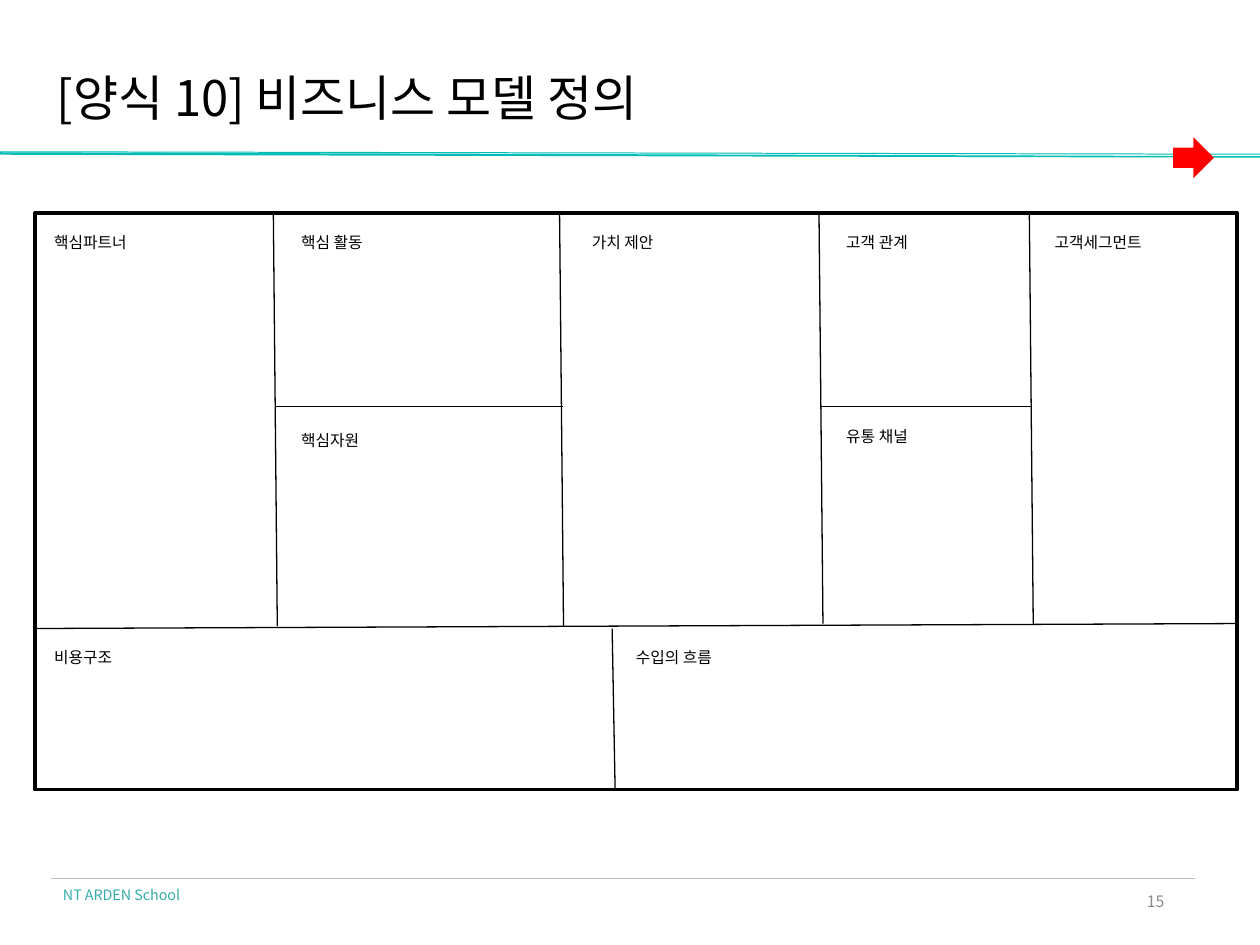
from dataclasses import dataclass

from lxml import etree
from pptx import Presentation
from pptx import util as u
from pptx.dml.color import RGBColor
from pptx.enum import shapes, text
from pptx.oxml.ns import qn


@dataclass(frozen=True)
class Theme:
    font: str = "Noto Sans CJK KR"
    black: str = "000000"
    teal: str = "01BCB6"
    footer: str = "34AEAA"
    number: str = "8C8C8C"
    rule: str = "BEBEBE"
    red: str = "FF0000"
    title_size: float = 28
    label_size: float = 9
    footer_size: float = 8.2


@dataclass(frozen=True)
class Box:
    left: float
    top: float
    width: float
    height: float

    def lengths(self) -> list:
        return [u.Cm(v) for v in (self.left, self.top, self.width, self.height)]


@dataclass(frozen=True)
class Line:
    x1: float
    y1: float
    x2: float
    y2: float
    color: str = Theme.black
    weight: float = 0.75


@dataclass(frozen=True)
class Label:
    words: str
    box: Box
    size: float = Theme.label_size
    color: str = Theme.black
    align: text.PP_ALIGN = text.PP_ALIGN.LEFT
    anchor: text.MSO_ANCHOR = text.MSO_ANCHOR.TOP
    inset: tuple = (0.25, 0.13)
    wrap: bool = True


def draw_line(slide, line: Line) -> None:
    ends = [u.Cm(v) for v in (line.x1, line.y1, line.x2, line.y2)]
    connector = slide.shapes.add_connector(shapes.MSO_CONNECTOR.STRAIGHT, *ends)
    connector.line.color.rgb = RGBColor.from_string(line.color)
    connector.line.width = u.Pt(line.weight)
    etree.SubElement(connector._element.spPr, qn("a:effectLst"))


def draw_label(slide, label: Label) -> None:
    frame = slide.shapes.add_textbox(*label.box.lengths()).text_frame
    across, down = (u.Cm(v) for v in label.inset)
    frame_format = {
        "word_wrap": label.wrap, "vertical_anchor": label.anchor,
        "margin_left": across, "margin_right": across,
        "margin_top": down, "margin_bottom": down,
    }
    for name, value in frame_format.items():
        setattr(frame, name, value)
    paragraph = frame.paragraphs[0]
    paragraph.alignment = label.align
    run = paragraph.add_run()
    run.text = label.words
    for name, value in {"name": Theme.font, "size": u.Pt(label.size)}.items():
        setattr(run.font, name, value)
    run.font.color.rgb = RGBColor.from_string(label.color)
    # Korean glyphs take the East Asian typeface
    etree.SubElement(run._r.get_or_add_rPr(), qn("a:ea"), typeface=Theme.font)


def fill_solid(shape, color: str) -> None:
    shape.shadow.inherit = False
    shape.fill.solid()
    shape.fill.fore_color.rgb = RGBColor.from_string(color)
    shape.line.fill.background()


def draw_band(slide, points: list) -> None:
    start, *rest = [(u.Cm(x), u.Cm(y)) for x, y in points]
    builder = slide.shapes.build_freeform(*start)
    builder.add_line_segments(rest, close=True)
    fill_solid(builder.convert_to_shape(), Theme.teal)


# Canvas grid, in centimetres
FRAME = Box(0.71, 4.29, 24.23, 11.63)
RIGHT, BOTTOM = FRAME.left + FRAME.width, FRAME.top + FRAME.height
MIDDLE, SLANT = 8.2, 0.08
COLUMNS = [(5.51, 12.62), (11.28, 12.62), (16.51, 12.57), (20.75, 12.57)]
GRID = [
    Line(FRAME.left, 12.67, RIGHT, 12.57),
    *(Line(x, FRAME.top, x + SLANT, end) for x, end in COLUMNS),
    Line(5.54, MIDDLE, 11.35, MIDDLE),
    Line(16.56, MIDDLE, 20.8, MIDDLE),
    Line(12.34, 12.67, 12.4, BOTTOM),
]
SECTIONS = [
    ("핵심파트너", 0.84, 4.57, 2.11),
    ("핵심 활동", 5.82, 4.57, 1.91),
    ("핵심자원", 5.82, 8.56, 1.8),
    ("가치 제안", 11.68, 4.57, 1.91),
    ("고객 관계", 16.81, 4.57, 1.91),
    ("유통 채널", 16.81, 8.48, 1.91),
    ("고객세그먼트", 21.01, 4.57, 2.44),
    ("비용구조", 0.84, 12.93, 1.8),
    ("수입의 흐름", 12.57, 12.93, 2.24),
]


def main() -> None:
    presentation = Presentation()
    presentation.slide_width, presentation.slide_height = u.Cm(25.4), u.Cm(19.05)
    slide = presentation.slides.add_slide(presentation.slide_layouts[6])

    # Double rule under the title
    draw_band(slide, [(0, 3.07), (0, 3.12), (25.4, 3.18), (25.4, 3.15)])
    draw_band(slide, [(0, 3.05), (0, 3.07), (25.4, 3.12), (25.4, 3.1)])

    # Footer and title
    draw_line(slide, Line(1.02, 17.7, 24.08, 17.7, Theme.rule, 0.5))
    draw_label(slide, Label("NT ARDEN School", Box(1.02, 17.73, 3.28, 0.61),
                            Theme.footer_size, Theme.footer))
    draw_label(slide, Label("15", Box(17.93, 17.65, 5.72, 1.02), color=Theme.number,
                            align=text.PP_ALIGN.RIGHT,
                            anchor=text.MSO_ANCHOR.MIDDLE, inset=(0.18, 0.1)))
    draw_label(slide, Label("[양식 10] 비즈니스 모델 정의", Box(1.14, 1.35, 22.94, 1.19),
                            Theme.title_size, anchor=text.MSO_ANCHOR.MIDDLE,
                            inset=(0, 0)))

    # Business model canvas
    for line in GRID:
        draw_line(slide, line)
    for words, left, top, width in SECTIONS:
        draw_label(slide, Label(words, Box(left, top, width, 0.64), wrap=False))
    frame = slide.shapes.add_shape(shapes.MSO_SHAPE.RECTANGLE, *FRAME.lengths())
    frame.shadow.inherit = False
    frame.fill.background()
    frame.line.color.rgb = RGBColor.from_string(Theme.black)
    frame.line.width = u.Pt(2)

    # Red marker on the rule
    arrow = slide.shapes.add_shape(shapes.MSO_SHAPE.RIGHT_ARROW,
                                   *Box(23.65, 2.77, 0.82, 0.82).lengths())
    fill_solid(arrow, Theme.red)

    presentation.save("out.pptx")


if __name__ == "__main__":
    main()
